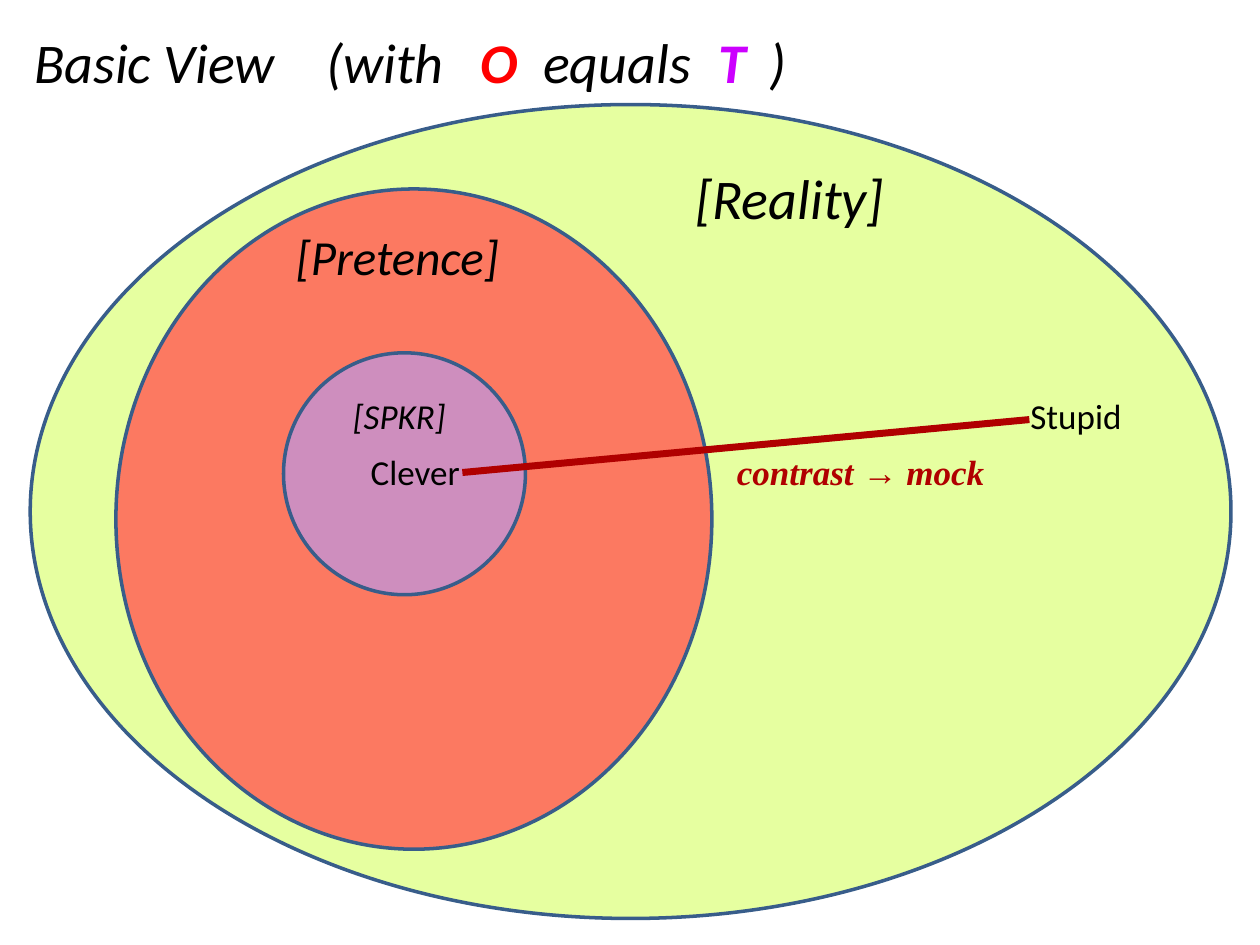
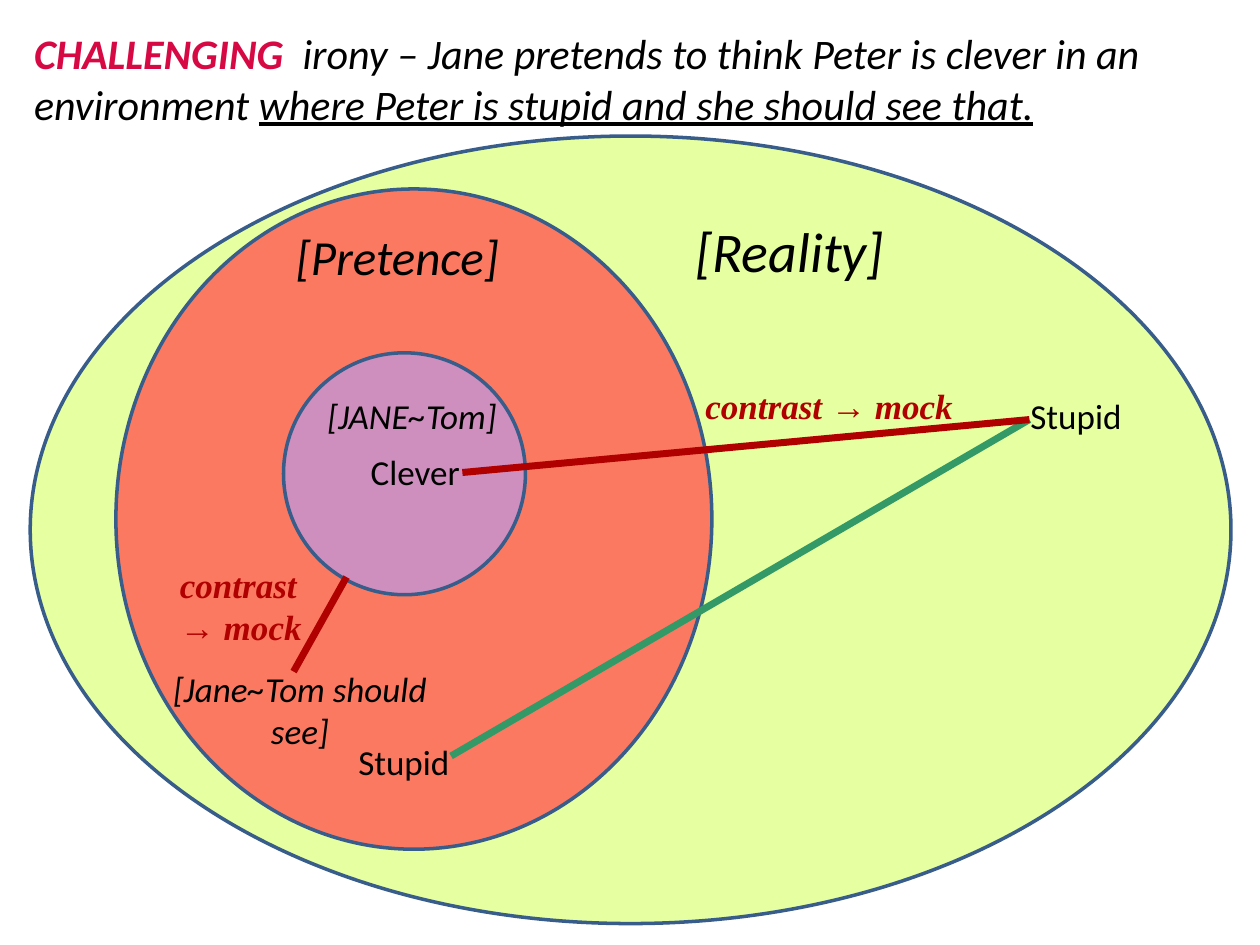
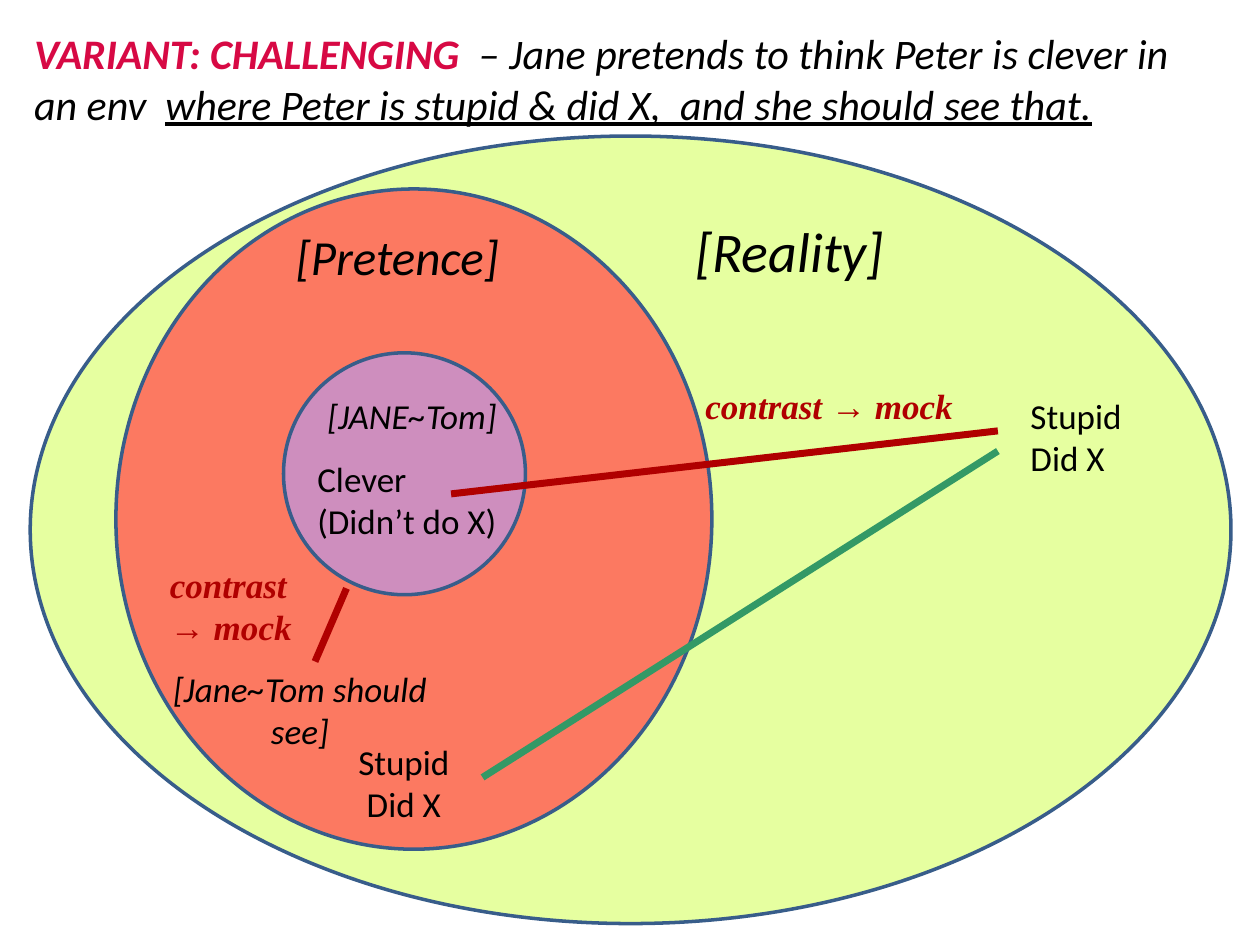
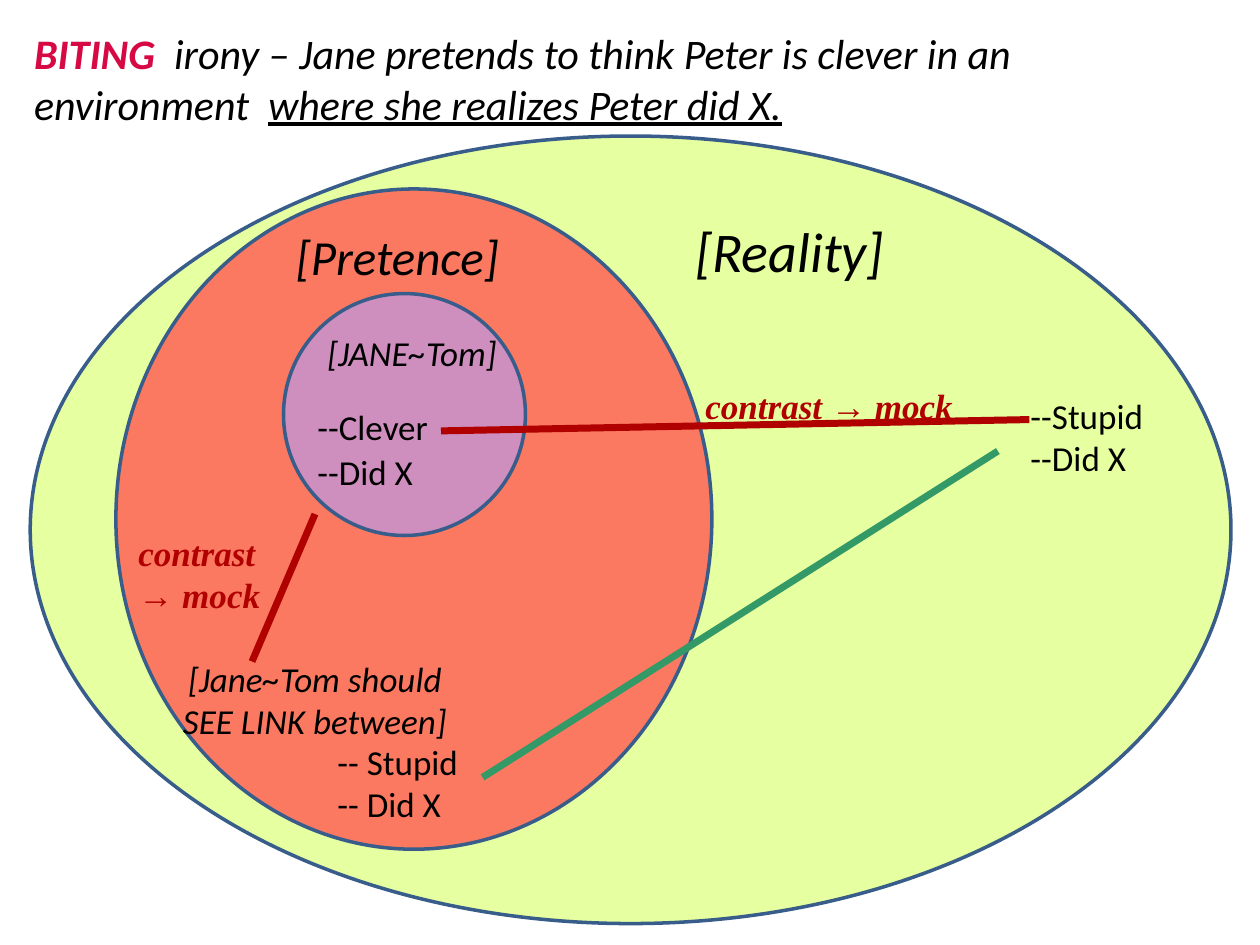
from pptx import Presentation
from pptx.dml.color import RGBColor
from pptx.enum.shapes import MSO_CONNECTOR, MSO_SHAPE
from pptx.enum.text import MSO_ANCHOR, MSO_AUTO_SIZE, PP_ALIGN
from pptx.oxml.ns import qn
from pptx.util import Inches, Pt
from lxml.etree import SubElement

COLORS = {
    "text": "000000",
    "outline": "385D8A",
    "reality": "DDFF7D",
    "pretence": "FF6B5B",
    "speaker": "C991C9",
    "contrast": "B00000",
    "match": "339966",
    "keyword": "D70944",
    "operator": "FF0000",
    "target": "CC00FF",
}
ALPHA = {"reality": 73, "pretence": 90, "speaker": 90}
PLAIN = {"size": Pt(20), "name": "Calibri", "bold": False, "italic": False}
ITALIC = PLAIN | {"italic": True}
CONTRAST = {"size": Pt(20), "name": "Times New Roman", "bold": True, "italic": True}
ARROW = ("→", {"name": "Arial"})
MOCK = [("contrast ", {}), ARROW, (" mock", {})]
MOCK_STACKED = [[("contrast", {})], [ARROW, (" mock", {})]]
KEYWORD = {"bold": True, "color": "keyword"}
UNDERLINED = {"underline": True}
TITLE_TABS = (2.32, 3.54, 4.04, 5.43, 5.84)


def rgb(name):
    """Return the named colour."""
    return RGBColor.from_string(COLORS[name])


def add_runs(p, runs, style, color="text"):
    """Add (text, overrides) runs to a paragraph."""
    for text, changes in runs:
        r = p.add_run()
        r.text = text
        fmt = {"color": color} | style | changes
        r.font.color.rgb = rgb(fmt.pop("color"))
        for name, value in fmt.items():
            setattr(r.font, name, value)


def add_label(slide, box, paragraphs, style=PLAIN, color="text", align=PP_ALIGN.LEFT):
    """Add a text box; each paragraph is a string or a list of runs."""
    sp = slide.shapes.add_textbox(*map(Inches, box))
    tf = sp.text_frame
    tf.word_wrap = True
    for i, runs in enumerate(paragraphs):
        p = tf.add_paragraph() if i else tf.paragraphs[0]
        p.alignment = align
        add_runs(p, [(runs, {})] if isinstance(runs, str) else runs, style, color)


def add_oval(slide, name, box):
    """Add one translucent mental space."""
    sp = slide.shapes.add_shape(MSO_SHAPE.OVAL, *map(Inches, box))
    sp.shadow.inherit = False
    sp.fill.solid()
    sp.fill.fore_color.rgb = rgb(name)
    clr = sp.fill._xPr.find(qn("a:solidFill"))[0]
    SubElement(clr, qn("a:alpha"), val=str(ALPHA[name] * 1000))
    sp.line.color.rgb = rgb("outline")
    sp.line.width = Pt(2)


def add_link(slide, color, start, end):
    """Join two statements with a thick line."""
    cx = slide.shapes.add_connector(MSO_CONNECTOR.STRAIGHT, *map(Inches, start + end))
    cx.line.color.rgb = rgb(color)
    cx.line.width = Pt(4)
    SubElement(cx._element.spPr, qn("a:effectLst"))


def add_title(slide, runs, size, height, tabs=()):
    """Format the title placeholder along the top edge."""
    sp = slide.shapes.title
    sp.left, sp.top, sp.width, sp.height = map(Inches, (0.17, 0.17, 9.42, height))
    tf = sp.text_frame
    for name, value in {"word_wrap": True, "auto_size": MSO_AUTO_SIZE.NONE,
                        "vertical_anchor": MSO_ANCHOR.TOP}.items():
        setattr(tf, name, value)
    p = tf.paragraphs[0]
    p.alignment = PP_ALIGN.LEFT
    if tabs:
        tab_list = SubElement(p._p.get_or_add_pPr(), qn("a:tabLst"))
        for pos in tabs:
            SubElement(tab_list, qn("a:tab"), pos=str(Inches(pos)), algn="l")
    add_runs(p, runs, ITALIC | {"size": Pt(size)})


def add_spaces(prs, title, size=24, title_height=0.9, tabs=(), reality=(1.08, 6.25),
               reality_label=1.67, speaker_top=2.8):
    """Add a slide with its title and the three nested spaces."""
    slide = prs.slides.add_slide(prs.slide_layouts[5])
    add_title(slide, title, size, title_height, tabs)
    top, height = reality
    add_oval(slide, "reality", (0.24, top, 9.53, height))
    add_oval(slide, "pretence", (0.92, 1.5, 4.73, 5.24))
    add_oval(slide, "speaker", (2.25, speaker_top, 1.92, 1.92))
    add_label(slide, (5.42, reality_label, 2.76, 0.64), ["[Reality]"],
              ITALIC | {"size": Pt(32)})
    add_label(slide, (2.25, 1.75, 2.08, 0.57), ["[Pretence]"],
              ITALIC | {"size": Pt(28)})
    return slide


def add_jane(slide, top, should_see, should_see_box, mock_box):
    """Add the labels that the Jane slides share."""
    add_label(slide, (2.5, top, 1.58, 0.44), ["[JANE~Tom]"], ITALIC)
    add_label(slide, should_see_box, ["[Jane~Tom should", should_see], ITALIC,
              align=PP_ALIGN.CENTER)
    add_label(slide, (5.5, 3, 2.42, 0.44), [MOCK], CONTRAST, "contrast")
    add_label(slide, mock_box, MOCK_STACKED, CONTRAST, "contrast")


def build_basic(prs):
    """Build the basic view."""
    title = [("Basic View\t(with\t", {}), ("O\t", {"bold": True, "color": "operator"}),
             ("equals\t", {}), ("T\t", {"bold": True, "color": "target"}), (")", {})]
    slide = add_spaces(prs, title, 32, 0.64, TITLE_TABS, (0.83, 6.46), 1.25)
    add_label(slide, (8.08, 3.08, 1.67, 0.44), ["Stupid"])
    add_label(slide, (2.17, 3.53, 2.25, 0.44), ["Clever"], align=PP_ALIGN.CENTER)
    add_label(slide, (2.67, 3.08, 1, 0.44), ["[SPKR]"], ITALIC, align=PP_ALIGN.CENTER)
    add_label(slide, (5.75, 3.53, 2.42, 0.44), [MOCK], CONTRAST, "contrast")
    add_link(slide, "contrast", (3.67, 3.75), (8.17, 3.33))


def build_challenging(prs):
    """Build the challenging irony view."""
    slide = add_spaces(prs, [
        ("CHALLENGING", KEYWORD),
        ("  irony – Jane pretends to think Peter is clever in an environment ", {}),
        ("where Peter is stupid and she should see that.", UNDERLINED)])
    add_label(slide, (8.08, 3.08, 1.67, 0.44), ["Stupid"])
    add_label(slide, (2.17, 3.53, 2.25, 0.44), ["Clever"], align=PP_ALIGN.CENTER)
    add_label(slide, (2.08, 5.83, 2.25, 0.44), ["Stupid"], align=PP_ALIGN.CENTER)
    add_jane(slide, 3.08, "see]", (1.17, 5.25, 2.42, 0.77), (1.33, 4.42, 1.33, 0.77))
    add_link(slide, "match", (3.58, 6), (8.17, 3.33))
    add_link(slide, "contrast", (3.67, 3.75), (8.17, 3.33))
    add_link(slide, "contrast", (2.75, 4.58), (2.33, 5.33))


def build_variant(prs):
    """Build the variant of challenging irony."""
    slide = add_spaces(prs, [
        ("VARIANT: CHALLENGING", KEYWORD),
        ("  – Jane pretends to think Peter is clever in an env  ", {}),
        ("where Peter is stupid & did X,  and she should see that.", UNDERLINED)])
    add_label(slide, (8.08, 3.08, 1.08, 0.77), ["Stupid", "Did X"])
    add_label(slide, (2.42, 3.58, 1.67, 0.77), ["Clever", "(Didn’t do X)"])
    add_label(slide, (2.08, 5.83, 2.25, 0.77), ["Stupid", "Did X"],
              align=PP_ALIGN.CENTER)
    add_jane(slide, 3.08, "see]", (1.17, 5.25, 2.42, 0.77), (1.25, 4.42, 1.25, 0.77))
    add_link(slide, "match", (3.83, 6.17), (7.92, 3.58))
    add_link(slide, "contrast", (3.58, 3.92), (7.92, 3.42))
    add_link(slide, "contrast", (2.75, 4.67), (2.5, 5.25))


def build_biting(prs):
    """Build the biting irony view."""
    slide = add_spaces(prs, [
        ("BITING", KEYWORD),
        ("  irony – Jane pretends to think Peter is clever in an environment  ", {}),
        ("where she realizes Peter did X.", UNDERLINED)], speaker_top=2.33)
    add_label(slide, (8.08, 3.08, 1.25, 0.77), ["--Stupid", "--Did X"])
    add_label(slide, (2.42, 3.17, 1.08, 0.44), ["--Clever"])
    add_label(slide, (2.42, 3.53, 1.08, 0.44), ["--Did X"])
    add_label(slide, (2.58, 5.83, 1.5, 0.77), ["-- Stupid", "-- Did X"])
    add_jane(slide, 2.58, "SEE LINK between]", (1.25, 5.17, 2.5, 0.77),
             (1, 4.17, 2.42, 0.77))
    add_link(slide, "match", (3.83, 6.17), (7.92, 3.58))
    add_link(slide, "contrast", (3.5, 3.42), (8.17, 3.33))
    add_link(slide, "contrast", (2.5, 4.08), (2, 5.25))


def main():
    """Build and save the four slides."""
    prs = Presentation()
    prs.slide_width, prs.slide_height = Inches(10), Inches(7.5)
    for build in (build_basic, build_challenging, build_variant, build_biting):
        build(prs)
    prs.save("out.pptx")


if __name__ == "__main__":
    main()
